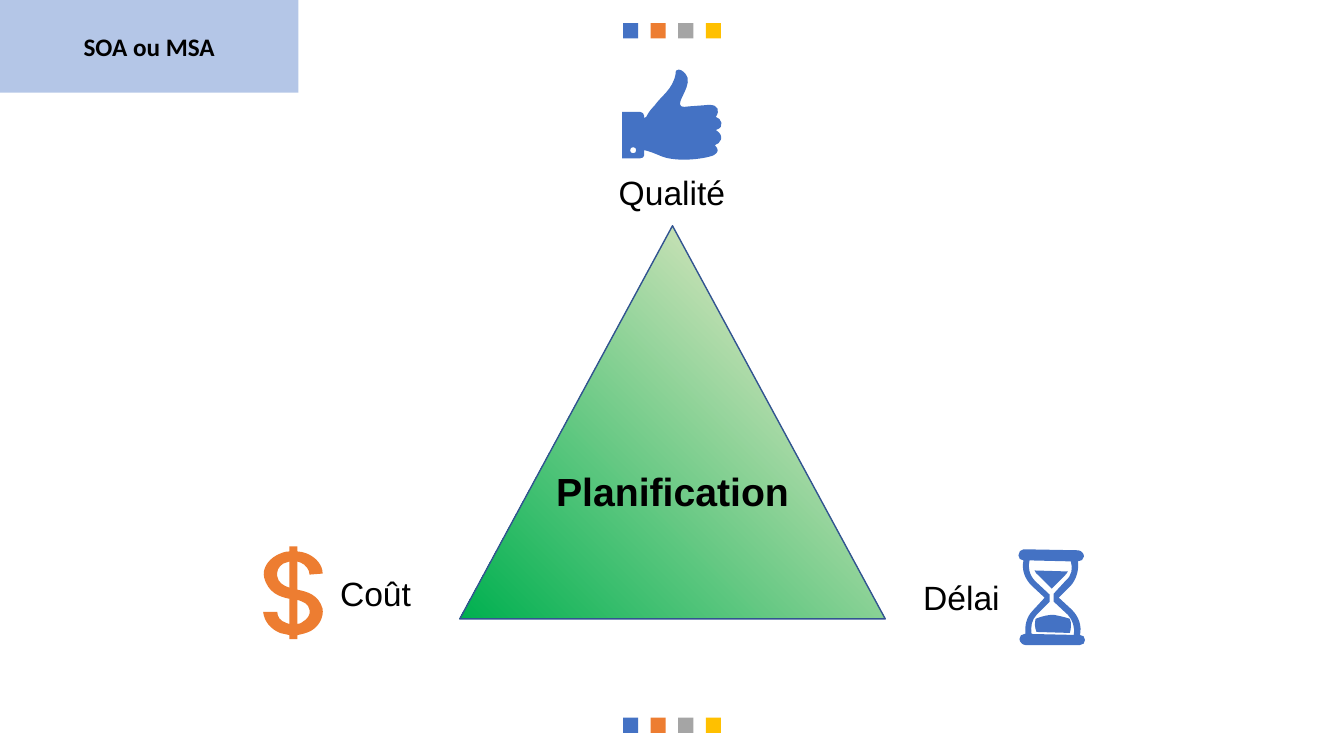
import copy
import math

import lxml.etree
import pptx
import pptx.dml.color
import pptx.enum.shapes
import pptx.enum.text
import pptx.oxml
import pptx.oxml.ns
import pptx.util

PX = 9144  # EMU per px, 100 px to the inch
COLORS = {
    "blue": "4472C4", "orange": "ED7D31", "grey": "A5A5A5", "yellow": "FFC000",
    "green": "00B050", "pale green": "C5E0B4", "outline": "325491", "text": "000000",
}
SHAPES = pptx.enum.shapes.MSO_SHAPE
SQUARE_SIZE = 15
qn = pptx.oxml.ns.qn

# Outlines in px from the icon's top left corner: M move, L line, C cubic curve
THUMB = [
    "M 11 77 C 9 77 8 78 8 80 C 8 82 9 83 11 83 C 13 83 14 82 14 80 C 14 78 13 77 11 77",
    "M 56 0 C 59 0 63 3 65 8 C 68 20 49 37 62 37 C 71 36 76 36 86 35 C 96 35 97 41 93 47 "
    "C 98 48 103 57 93 60 C 103 66 97 74 92 75 C 96 79 96 82 91 85 C 81 89 54 92 39 86 "
    "C 32 83 27 81 22 80 L 22 85 C 22 87 20 88 18 88 L 0 88 L 0 42 L 18 42 "
    "C 20 42 22 44 22 46 L 22 48 C 23 47 23 47 24 47 C 26 43 28 40 32 36 "
    "C 39 26 50 20 53 5 C 53 1 54 0 56 0",
]
HOURGLASS = [
    "M 35 65 C 40 66 45 67 51 69 C 53 74 52 79 51 83 L 18 82 C 16 78 16 73 17 69 "
    "C 24 66 30 65 35 65",
    "M 16 21 L 49 22 C 48 24 47 25 45 27 L 33 39 L 20 26 C 18 25 17 23 16 21",
    "M 11 11 C 9 18 11 26 17 32 L 31 45 L 31 52 L 18 65 C 13 70 12 77 13 84 L 55 85 "
    "C 56 78 54 70 49 65 L 35 52 L 35 44 L 47 31 C 53 26 54 19 52 12",
    "M 5 0 L 59 1 C 62 1 65 4 65 7 C 65 10 62 12 59 12 L 59 12 C 60 20 58 29 52 36 "
    "L 40 48 L 53 60 C 60 67 63 76 61 85 C 64 85 66 87 66 90 C 66 93 64 95 61 95 L 7 95 "
    "C 4 95 1 92 1 89 C 1 86 3 84 6 84 L 7 84 C 6 76 8 67 14 61 L 26 48 L 13 36 "
    "C 6 29 3 20 5 11 C 2 11 0 9 0 6 C 0 3 2 0 5 0",
]
DOLLAR = [
    "M 34 53 L 34 77 C 36 77 38 76 39 75 C 44 72 47 68 46 63 C 45 57 40 55 34 53",
    "M 26 15 C 24 16 22 16 20 17 C 15 20 13 25 14 30 C 15 36 20 39 26 41",
    "M 26 0 L 34 0 L 34 5 C 37 5 40 6 43 7 C 53 11 59 19 59 27 L 46 28 "
    "C 46 23 42 18 37 16 C 36 16 35 16 34 15 L 34 43 C 44 45 55 48 59 62 "
    "C 60 70 56 79 47 84 C 43 86 39 87 34 88 L 34 92 L 26 92 L 26 88 "
    "C 23 87 20 87 17 86 C 7 82 1 74 0 65 L 14 65 C 14 70 17 74 23 76 "
    "C 24 77 25 77 26 77 L 26 52 C 16 50 5 46 1 31 C -1 23 4 14 13 9 C 17 7 21 5 26 5",
]


def rgb(name):
    return pptx.dml.color.RGBColor.from_string(COLORS[name])


def emu(*lengths):
    return [round(length * PX) for length in lengths]


def paint(shape, color):
    """Fill a shape flat, without line or shadow."""
    shape.shadow.inherit = False
    shape.fill.solid()
    shape.fill.fore_color.rgb = rgb(color)
    shape.line.fill.background()


def write(shape, text, size, font="Arial", bold=False):
    frame = shape.text_frame
    frame.word_wrap = True
    paragraph = frame.paragraphs[0]
    paragraph.alignment = pptx.enum.text.PP_ALIGN.CENTER
    run = paragraph.add_run()
    run.text = text
    formats = {"size": pptx.util.Pt(size), "name": font, "bold": bold}
    for attribute, value in formats.items():
        setattr(run.font, attribute, value)
    run.font.color.rgb = rgb("text")


def add_label(slide, box, text, size=24, bold=False):
    write(slide.shapes.add_textbox(*emu(*box)), text, size, bold=bold)


def add_square_row(slide, left, top, width):
    colors = ["blue", "orange", "grey", "yellow"]
    step = (width - SQUARE_SIZE) / (len(colors) - 1)
    for index, color in enumerate(colors):
        box = emu(left + index * step, top, SQUARE_SIZE, SQUARE_SIZE)
        paint(slide.shapes.add_shape(SHAPES.RECTANGLE, *box), color)


def add_tag(slide, box, text):
    tag = slide.shapes.add_shape(SHAPES.RECTANGLE, *emu(*box))
    paint(tag, "blue")
    color = tag.fill._xPr.find(".//" + qn("a:srgbClr"))
    lxml.etree.SubElement(color, qn("a:alpha"), val="40000")
    tag.text_frame.vertical_anchor = pptx.enum.text.MSO_ANCHOR.MIDDLE
    write(tag, text, 18, font="Calibri", bold=True)


def add_triangle(slide, box, text):
    """Triangle with a gradient spreading from its bottom left corner."""
    left, top, width, height = box
    triangle = slide.shapes.add_shape(SHAPES.ISOSCELES_TRIANGLE, *emu(*box))
    triangle.shadow.inherit = False
    triangle.line.color.rgb = rgb("outline")
    triangle.line.width = pptx.util.Pt(1)
    triangle.fill.gradient()
    stops = triangle.fill.gradient_stops
    for stop, color, position in zip(stops, ["green", "pale green"], [0, 0.75]):
        stop.color.rgb = rgb(color)
        stop.position = position
    gradient = triangle.fill._xPr.find(qn("a:gradFill"))
    stop_list = gradient.find(qn("a:gsLst"))
    last_stop = copy.deepcopy(stop_list[-1])
    last_stop.set("pos", "100000")
    stop_list.append(last_stop)
    gradient.replace(
        gradient.find(qn("a:lin")),
        pptx.oxml.parse_xml(
            f'<a:path {pptx.oxml.ns.nsdecls("a")} path="circle">'
            '<a:fillToRect t="100000" r="100000"/></a:path>'
        ),
    )
    add_label(slide, (left + 77, top + 235, 268, 57), text, 28, bold=True)


def read_outline(contour, left, top, center, rotation):
    """List the points of each command, turned back by the icon's rotation."""
    cosine, sine = math.cos(math.radians(rotation)), math.sin(math.radians(rotation))
    commands = []
    for command in contour.replace("L", "M").replace("C", "M").split("M")[1:]:
        numbers = [int(word) for word in command.split()]
        points = []
        for x, y in zip(numbers[::2], numbers[1::2]):
            across, down = x - center[0], y - center[1]
            points.append(emu(left + center[0] + across * cosine + down * sine,
                              top + center[1] + down * cosine - across * sine))
        commands.append(points)
    return commands


def add_icon(slide, left, top, contours, color, center=(0, 0), rotation=0):
    outlines = [read_outline(contour, left, top, center, rotation) for contour in contours]
    builder = slide.shapes.build_freeform(*outlines[0][0][0], scale=1.0)
    for index, (start, *segments) in enumerate(outlines):
        if index:
            builder.move_to(*start[0])
        builder.add_line_segments([points[-1] for points in segments], close=True)
    icon = builder.convert_to_shape()
    bend_segments(icon, [points for outline in outlines for points in outline[1:]])
    paint(icon, color)
    icon.rotation = rotation


def bend_segments(icon, segments):
    """Make a curve of every segment that has control points."""
    lines = list(icon._element.iter(qn("a:lnTo")))
    for line, points in zip(lines, segments):
        if len(points) == 1:
            continue
        curve = lxml.etree.Element(qn("a:cubicBezTo"))
        for x, y in points:
            lxml.etree.SubElement(
                curve, qn("a:pt"), x=str(x - icon.left), y=str(y - icon.top))
        line.getparent().replace(line, curve)


def add_corner(slide, left, top, text, icon_offset, **icon):
    """Label of one triangle corner with its icon beside it."""
    add_label(slide, (left, top, 153, 50), text)
    add_icon(slide, left + icon_offset[0], top + icon_offset[1], **icon)


def main():
    presentation = pptx.Presentation()
    presentation.slide_width, presentation.slide_height = emu(1333, 750)
    slide = presentation.slides.add_slide(presentation.slide_layouts[6])
    for top in (23, 712):
        add_square_row(slide, 618, top, 97)
    add_tag(slide, (0, 0, 296, 92), "SOA ou MSA")
    add_triangle(slide, (456, 224, 422, 390), "Planification")
    add_corner(slide, 590, 166, "Qualité", (27, -97), contours=THUMB, color="blue")
    add_corner(slide, 296, 563, "Coût", (-36, -21), contours=DOLLAR, color="orange",
               center=(30, 46), rotation=180)
    add_corner(slide, 877, 567, "Délai", (133, -22), contours=HOURGLASS, color="blue",
               center=(33, 48), rotation=313.4)
    presentation.save("out.pptx")


if __name__ == "__main__":
    main()
